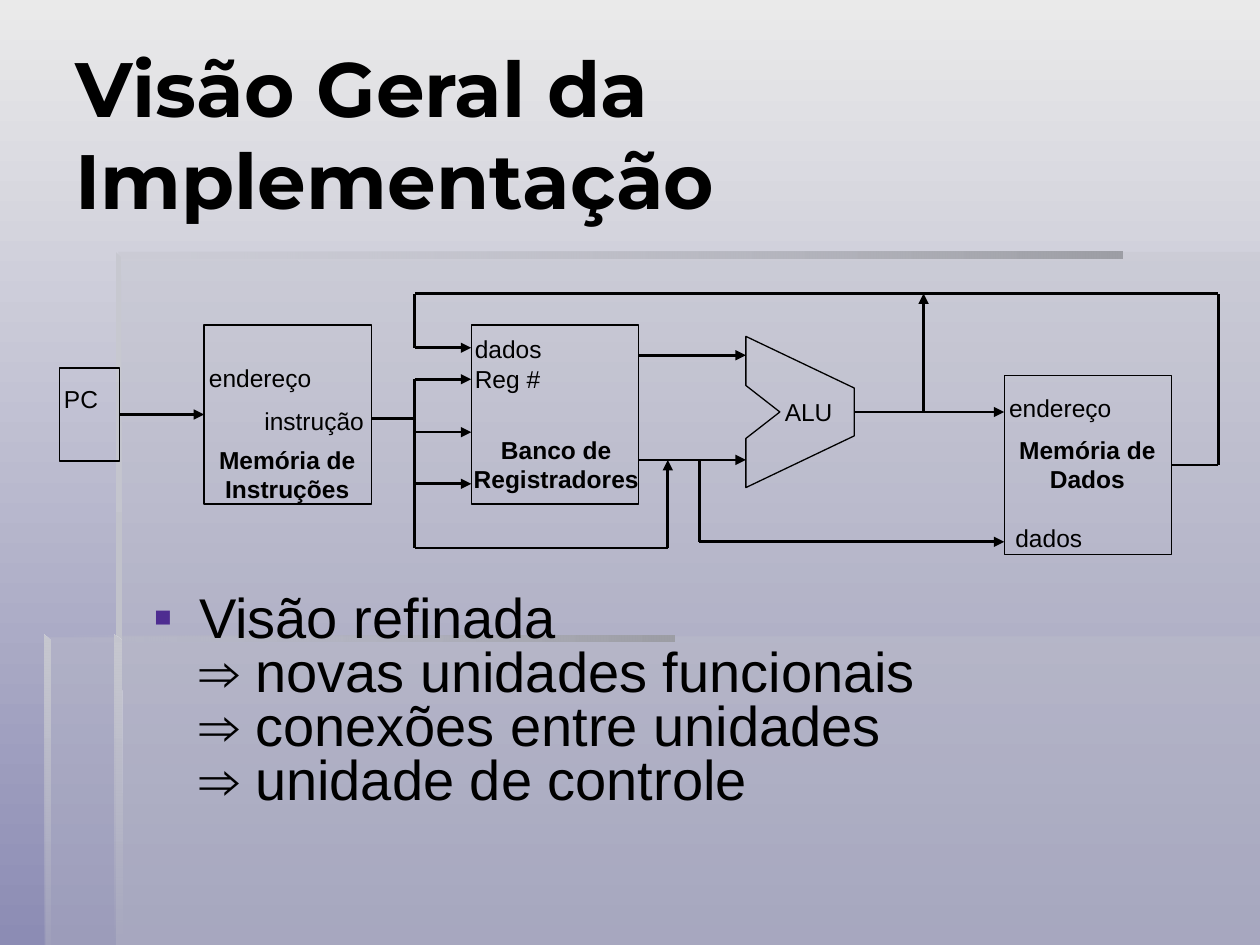
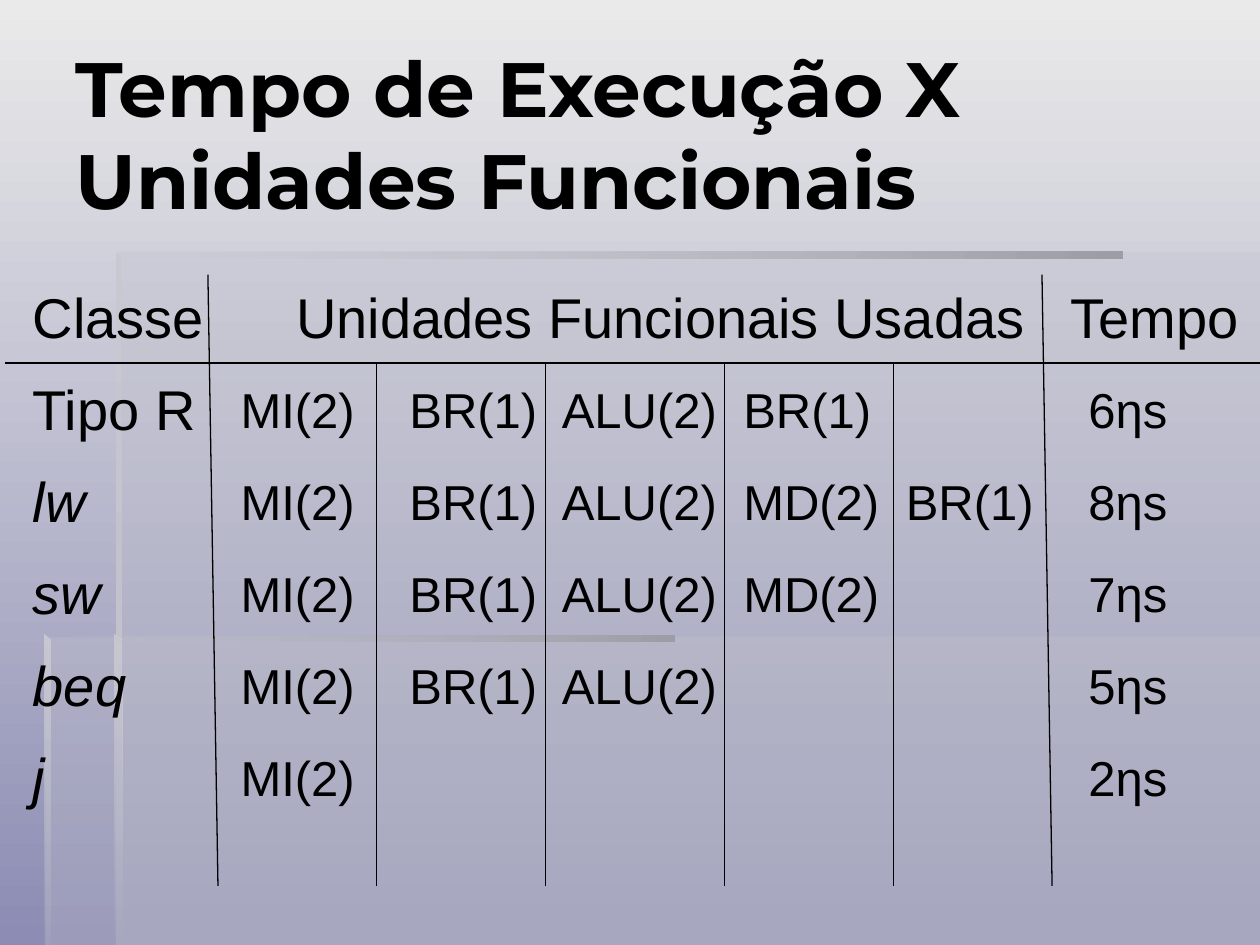
"""Builds two slides on a datapath overview and its execution times."""
import itertools
import lxml.etree
import pptx
import pptx.dml.color
import pptx.enum.shapes
import pptx.enum.text
import pptx.oxml.ns
import pptx.util

Inches = pptx.util.Inches
Pt = pptx.util.Pt
qn = pptx.oxml.ns.qn
ALIGN = pptx.enum.text.PP_ALIGN
ANCHOR = pptx.enum.text.MSO_ANCHOR
NO_FIT = pptx.enum.text.MSO_AUTO_SIZE.NONE
RECT = pptx.enum.shapes.MSO_SHAPE.RECTANGLE
LINE = pptx.enum.shapes.MSO_CONNECTOR.STRAIGHT

HEX = {"ink": "000000", "sky": "EAEAEA", "dusk": "8C8CB4", "pane": "C1C2CB",
       "bar": "9D9EA5", "edge": "C7C8D0", "mark": "4E2D91"}
PLAIN_TABLE = "{2D5ABB26-0587-4C30-8999-92F81FD0307C}"

TITLES = ["Visão Geral da Implementação", "Tempo de Execução X Unidades Funcionais"]
TITLE_BOX = (0.5, 0.27, 9.17, 1.57)

DOWN, BACK = 270, 180
GLASS = [("pane", 30)]
FADE = [("bar", 100), ("pane", 0)]
BANDS = [
    ([(0.92, 5.05), (0.92, 7.5), (10, 7.5), (10, 5.05)], GLASS, DOWN),
    ([(0.94, 5.06), (0.36, 5.06), (0.36, 7.5), (10, 7.5), (10, 2), (0.94, 2)], GLASS, DOWN),
    ([(0.92, 2), (0.92, 2.05), (8.91, 2.05), (8.91, 2)], FADE, BACK),
    ([(0.92, 2), (0.92, 5.1), (0.97, 5.1), (0.96, 2.04)],
     [("edge", 100), ("pane", 100)], DOWN),
    ([(0.91, 7.5), (0.97, 7.5), (0.96, 5.08), (0.91, 5.04)],
     [("edge", 100), ("pane", 0)], DOWN),
    ([(0.35, 5.04), (0.35, 5.09), (5.35, 5.09), (5.35, 5.04)], FADE, BACK),
    ([(0.35, 5.04), (0.35, 7.5), (0.4, 7.5), (0.4, 5.09)],
     [("edge", 100), ("pane", 10)], DOWN),
]

PC = (0.47, 2.92, 0.48, 0.74)
CODE = (1.62, 2.58, 1.33, 1.42)
BANK = (3.74, 2.58, 1.33, 1.42)
DATA = (7.97, 2.98, 1.33, 1.42)
UNITS = [PC, CODE, BANK, DATA]
ALU = [(5.92, 2.67), (6.78, 3.08), (6.78, 3.46), (5.92, 3.87),
       (5.92, 3.48), (6.19, 3.27), (5.92, 3.06)]

NAMES = [
    ("Memória de\nInstruções", (1.47, 3.48, 1.62, 0.6)),
    ("Banco de Registradores", (3.48, 3.4, 1.87, 1.18)),
    ("Memória de\nDados", (7.92, 3.4, 1.42, 0.73)),
]
PORTS = [
    ("PC", (0.41, 3, 0.83, 0.64)),
    ("endereço", (1.56, 2.83, 1.28, 0.42)),
    ("instrução", (2, 3.17, 1.4, 0.41)),
    ("dados", (3.67, 2.6, 0.9, 0.32)),
    ("Reg #", (3.67, 2.84, 0.77, 0.41)),
    ("ALU", (6.13, 3.1, 0.71, 0.32)),
    ("endereço", (7.91, 3.07, 1.09, 0.35)),
    ("dados", (7.96, 4.1, 0.88, 0.32)),
]
LIST = ["Visão refinada", "⇒ novas unidades funcionais",
        "⇒ conexões entre unidades", "⇒ unidade de controle"]
LIST_BOX = (1.12, 4.68, 7.5, 1.81)
INDENT = 0.36

HEAD = {0: ("Classe", 0.1), 1: ("Unidades Funcionais Usadas", 0.66), 6: ("Tempo", 0.19)}
TIMES = [
    ("Tipo R", ["MI(2)", "BR(1)", "ALU(2)", "BR(1)"], "6ηs"),
    ("lw", ["MI(2)", "BR(1)", "ALU(2)", "MD(2)", "BR(1)"], "8ηs"),
    ("sw", ["MI(2)", "BR(1)", "ALU(2)", "MD(2)"], "7ηs"),
    ("beq", ["MI(2)", "BR(1)", "ALU(2)"], "5ηs"),
    ("j", ["MI(2)"], "2ηs"),
]
EDGES = [0.16, 1.69, 2.99, 4.33, 5.75, 7.09, 8.31, 9.98]
PADS = [0.1, 0.22, 0.26, 0.13, 0.15, 0.1, 0.33]
TOP, ROW = 2.17, 0.73
RULE_TOP, RULE, BASE, SLANT = 2.18, 2.88, 7.03, 0.08


def tint(name):
    return pptx.dml.color.RGBColor.from_string(HEX[name])


def add_tag(parent, tag, **attrs):
    return lxml.etree.SubElement(parent, qn(tag), attrs)


def place(shape, box):
    shape.left, shape.top, shape.width, shape.height = map(Inches, box)


def write(frame, text, size=14, bold=False, italic=False, font="Arial",
          align=ALIGN.LEFT, space=1.0):
    frame.word_wrap = True
    for i, line in enumerate(text.split("\n")):
        para = frame.add_paragraph() if i else frame.paragraphs[0]
        para.alignment, para.line_spacing = align, space
        para.space_before = Pt(0)
        run = para.add_run()
        run.text = line
        face = run.font
        face.name, face.size, face.bold, face.italic = font, Pt(size), bold, italic
        face.color.rgb = tint("ink")


def shade(fill, stops, angle):
    if len(stops) == 1:
        fill.solid()
        fill.fore_color.rgb = tint(stops[0][0])
        return
    fill.gradient()
    fill.gradient_angle = angle
    for stop, (name, _) in zip(fill.gradient_stops, stops):
        stop.color.rgb = tint(name)


def outline(slide, points):
    corners = [(Inches(x), Inches(y)) for x, y in points]
    pen = slide.shapes.build_freeform(*corners[0])
    pen.add_line_segments(corners[1:], close=True)
    return pen.convert_to_shape()


def hollow(shape):
    shape.shadow.inherit = False
    shape.fill.background()
    shape.line.color.rgb = tint("ink")
    shape.line.width = Pt(0.75)


def wire(slide, start, end, width=0.75, arrow=False):
    link = slide.shapes.add_connector(LINE, *map(Inches, (*start, *end)))
    link.line.color.rgb = tint("ink")
    link.line.width = Pt(width)
    if arrow:
        stroke = link.element.spPr.find(qn("a:ln"))
        add_tag(stroke, "a:tailEnd", type="triangle")
    add_tag(link.element.spPr, "a:effectLst")
    return link


def ports(box):
    """Gives the middles of the left and right sides with their site numbers."""
    x, y, wide, high = box
    mid = round(y + high / 2, 2)
    return {(x, mid): 1, (round(x + wide, 2), mid): 3}


def route(slide, sites, points, arrow=True):
    """Draws a bent wire, joined to any box side whose middle it meets."""
    legs = list(itertools.pairwise(points))
    for i, (start, end) in enumerate(legs, 1):
        link = wire(slide, start, end, width=1.5, arrow=arrow and i == len(legs))
        if start in sites:
            link.begin_connect(*sites[start])
        if end in sites:
            link.end_connect(*sites[end])


def nets():
    """Lists the wires of the datapath as corner points."""
    code_in, pc_out = (CODE[0], 3.29), (0.95, 3.29)
    bank_in, bank_out = BANK[0], 5.07
    alu_in, alu_out = 5.92, 6.78
    data_in, data_out = DATA[0], (9.3, 3.69)
    bus, loop, floor, roof = 3.29, 5.3, 4.35, 2.33
    store, tap, far, out = 5.55, 7.33, 9.67, 3.27
    top, low = 2.82, 3.65
    yield [pc_out, code_in]
    yield [(bus, 3.01), (bus, floor), (loop, floor), (loop, low)]
    for y in (3.01, 3.43, 3.84):
        yield [(bus, y), (bank_in, y)]
    for y in (top, low):
        yield [(bank_out, y), (alu_in, y)]
    yield [(store, low), (store, 4.3), (data_in, 4.3)]
    yield [(alu_out, out), (data_in, out)]
    yield [(tap, out), (tap, roof)]
    yield [data_out, (far, 3.69), (far, roof), (bus, roof), (bus, 2.76), (bank_in, 2.76)]


def dress(master, slide):
    """Puts the background and bands on the master, drawn by way of a slide."""
    shade(master.background.fill, [("sky", 100), ("dusk", 100)], DOWN)
    for i, (points, stops, angle) in enumerate(BANDS, 2):
        band = outline(slide, points)
        band.shadow.inherit = False
        band.line.fill.background()
        shade(band.fill, stops, angle)
        paints = list(band.element.spPr.iter(qn("a:srgbClr")))
        for paint, (_, alpha) in zip(paints, stops):
            add_tag(paint, "a:alpha", val=str(alpha * 1000))
        master.element.cSld.spTree.insert(i, band.element)


def begin(prs, layout, text):
    slide = prs.slides.add_slide(prs.slide_layouts[layout])
    title = slide.shapes.title
    place(title, TITLE_BOX)
    title.text_frame.auto_size = NO_FIT
    title.text_frame.vertical_anchor = ANCHOR.MIDDLE
    write(title.text_frame, text, size=44, bold=True, font="Montserrat")
    return slide


def draw(slide):
    sites = {}
    for box in UNITS:
        unit = slide.shapes.add_shape(RECT, *map(Inches, box))
        hollow(unit)
        sites.update({spot: (unit, side) for spot, side in ports(box).items()})
    hollow(outline(slide, ALU))
    for points in nets():
        route(slide, sites, points)
    route(slide, sites, [(2.95, 3.32), (3.29, 3.32)], arrow=False)
    for labels, style in ((NAMES, {"bold": True, "align": ALIGN.CENTER}), (PORTS, {})):
        for text, box in labels:
            label = slide.shapes.add_textbox(*map(Inches, box))
            write(label.text_frame, text, **style)


def bullets(body):
    place(body, LIST_BOX)
    body.text_frame.auto_size = NO_FIT
    write(body.text_frame, "\n".join(LIST), size=32, space=0.8)
    first, *rest = body.element.iter(qn("a:pPr"))
    for props in (first, *rest):
        props.set("marL", str(Inches(INDENT)))
    first.set("indent", str(-Inches(INDENT)))
    add_tag(add_tag(first, "a:buClr"), "a:srgbClr", val=HEX["mark"])
    add_tag(first, "a:buFont", typeface="Arial")
    add_tag(first, "a:buChar", char="▪")
    for props in rest:
        props.set("indent", "0")
        add_tag(props, "a:buNone")


def fill_in(cell, text, pad, **style):
    cell.margin_left, cell.margin_right = Inches(pad), 0
    write(cell.text_frame, text, **style)


def tabulate(slide):
    rows, cols = len(TIMES) + 1, len(PADS)
    frame = slide.shapes.add_table(rows, cols, Inches(EDGES[0]), Inches(TOP),
                                   Inches(EDGES[-1] - EDGES[0]), Inches(ROW * rows))
    grid = frame.table
    grid.first_row = grid.horz_banding = False
    for style in frame.element.iter(qn("a:tableStyleId")):
        style.text = PLAIN_TABLE
    for col, (left, right) in zip(grid.columns, itertools.pairwise(EDGES)):
        col.width = Inches(right - left)
    for cell in grid.iter_cells():
        cell.fill.background()
        cell.vertical_anchor = ANCHOR.MIDDLE
    grid.cell(0, 1).merge(grid.cell(0, cols - 2))
    for c, (text, pad) in HEAD.items():
        fill_in(grid.cell(0, c), text, pad, size=32)
    for r, (kind, units, time) in enumerate(TIMES, 1):
        fill_in(grid.cell(r, 0), kind, PADS[0], size=32, italic=r > 1)
        for c, text in [*enumerate(units, 1), (cols - 1, time)]:
            fill_in(grid.cell(r, c), text, PADS[c], size=28)


def rule(slide):
    wire(slide, (0.04, RULE), (10, RULE))
    for x in (EDGES[1], EDGES[-2]):
        wire(slide, (x - SLANT / 2, RULE_TOP), (x + SLANT / 2, BASE))
    for x in EDGES[2:-2]:
        wire(slide, (x, RULE), (x, BASE))


def main():
    prs = pptx.Presentation()
    prs.slide_width, prs.slide_height = Inches(10), Inches(7.5)
    view = begin(prs, 1, TITLES[0])
    dress(prs.slide_master, view)
    draw(view)
    bullets(view.placeholders[1])
    chart = begin(prs, 5, TITLES[1])
    tabulate(chart)
    rule(chart)
    prs.save("out.pptx")


if __name__ == "__main__":
    main()
